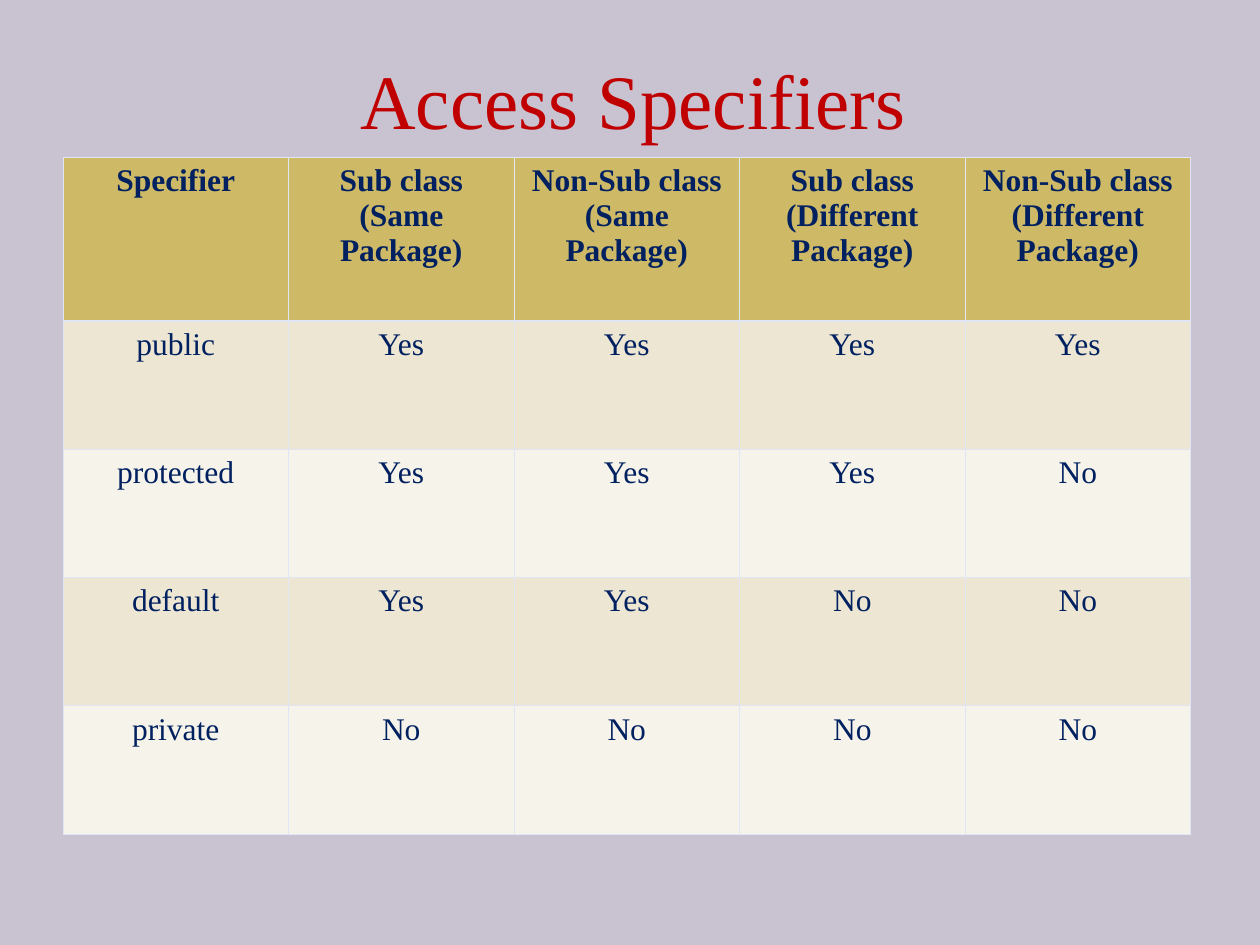
from lxml.etree import SubElement
from pptx import Presentation
from pptx.dml.color import RGBColor
from pptx.enum.text import MSO_ANCHOR as Anchor, PP_ALIGN as Align
from pptx.oxml.ns import qn
from pptx.util import Cm, Pt

NAVY, RED, GOLD, LINE = "002060", "C00000", "CEB966", "E0E6F5"
BANDS = ("EDE6D3", "F6F3EA")
THIN, THICK = 0.45, 1.47

ACCESS = [
    ("Specifier", "Sub class (Same Package)", "Non-Sub class (Same Package)",
     "Sub class (Different Package)", "Non-Sub class (Different Package)"),
    ("public", "Yes", "Yes", "Yes", "Yes"),
    ("protected", "Yes", "Yes", "Yes", "No"),
    ("default", "Yes", "Yes", "No", "No"),
    ("private", "No", "No", "No", "No"),
]


def paint(colour_format, value):
    """Set a colour from a hex string."""
    colour_format.rgb = RGBColor.from_string(value)


def fill_solid(fill, value):
    """Give a fill one solid colour."""
    fill.solid()
    paint(fill.fore_color, value)


def write(frame, words, colour, **font_format):
    """Write one centred paragraph in the slide's font."""
    paragraph = frame.paragraphs[0]
    paragraph.alignment = Align.CENTER
    run = paragraph.add_run()
    run.text = words
    for key, value in {"name": "Times New Roman", **font_format}.items():
        setattr(run.font, key, value)
    paint(run.font.color, colour)


def add_borders(cell, widths):
    """Draw cell borders from a dict of side and width in points."""
    properties = cell._tc.get_or_add_tcPr()
    for side, width in widths.items():
        border = SubElement(properties, qn(f"a:ln{side}"), w=str(Pt(width)))
        solid = SubElement(border, qn("a:solidFill"))
        SubElement(solid, qn("a:srgbClr"), val=LINE)


def add_title(slide, left, top, width, height):
    """Place the slide heading in its box."""
    frame = slide.shapes.add_textbox(left, top, width, height).text_frame
    frame_format = {
        "word_wrap": True, "vertical_anchor": Anchor.MIDDLE,
        "margin_left": Cm(0.25), "margin_right": Cm(0.25),
        "margin_top": Cm(0.25), "margin_bottom": Cm(0.56),
    }
    for key, value in frame_format.items():
        setattr(frame, key, value)
    write(frame, "Access Specifiers", RED, size=Pt(44))


def add_access_table(slide, left, top, width, height):
    """Place the table of specifiers and where each is visible."""
    row_count, column_count = len(ACCESS), len(ACCESS[0])
    table = slide.shapes.add_table(
        row_count, column_count, left, top, width, height).table
    header_height = Cm(3.3)
    for column in table.columns:
        column.width = width // column_count
    for row in table.rows:
        row.height = (height - header_height) // (row_count - 1)
    table.rows[0].height = header_height

    for r, entries in enumerate(ACCESS):
        is_header = r == 0
        for c, entry in enumerate(entries):
            cell = table.cell(r, c)
            add_borders(cell, {"L": THIN, "R": THIN,
                               "T": THICK if r == 1 else THIN,
                               "B": THICK if is_header else THIN})
            fill_solid(cell.fill, GOLD if is_header else BANDS[(r - 1) % 2])
            write(cell.text_frame, entry, NAVY, size=Pt(18), bold=is_header)


def main():
    """Build and save the slide."""
    deck = Presentation()
    deck.slide_width, deck.slide_height = Cm(25.4), Cm(19.05)
    slide = deck.slides.add_slide(deck.slide_layouts[6])
    fill_solid(slide.background.fill, "C9C2D1")
    add_title(slide, Cm(1.4), Cm(0.69), Cm(22.73), Cm(2.92))
    add_access_table(slide, Cm(1.27), Cm(3.17), Cm(22.73), Cm(13.64))
    deck.save("out.pptx")


if __name__ == "__main__":
    main()
